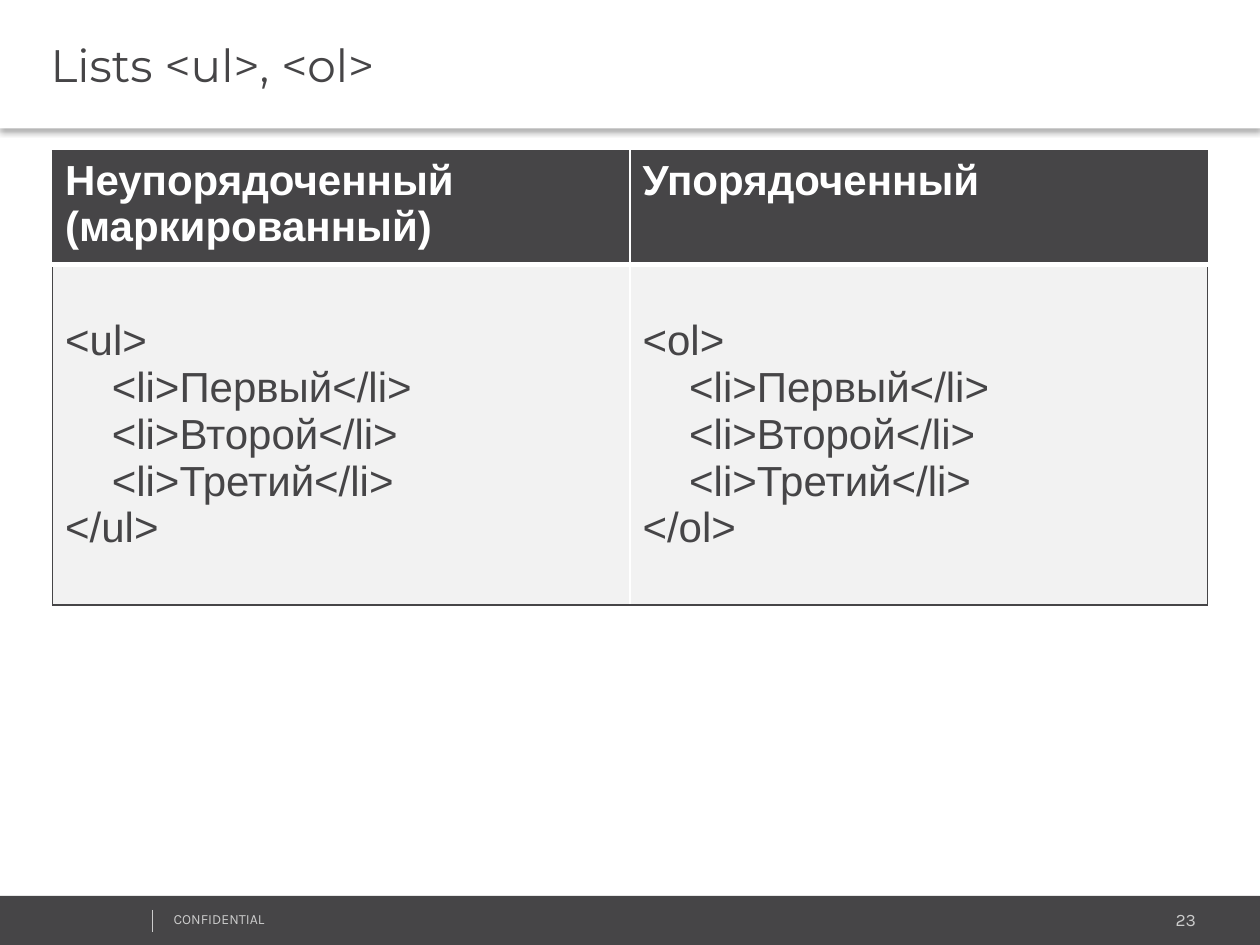
from lxml import etree
from pptx import Presentation
from pptx.dml.color import RGBColor
from pptx.enum.shapes import MSO_CONNECTOR, MSO_SHAPE
from pptx.enum.text import MSO_ANCHOR, MSO_AUTO_SIZE, PP_ALIGN
from pptx.oxml.ns import qn
from pptx.util import Cm, Pt

LEFT, RIGHT = PP_ALIGN.LEFT, PP_ALIGN.RIGHT
TOP, MIDDLE = MSO_ANCHOR.TOP, MSO_ANCHOR.MIDDLE
DARK, WHITE, PALE, GREY = "464547", "FFFFFF", "F2F2F2", "CCCCCC"

TITLE = "Lists <ul>, <ol>"
ITEMS = ["Первый", "Второй", "Третий"]
LISTS = [("Неупорядоченный (маркированный)", "ul"), ("Упорядоченный", "ol")]
# text, left, top, width, height, size, alignment
NOTES = [
    ("23", 20.22, 18.21, 4.14, 0.69, 10, RIGHT),
    ("CONFIDENTIAL", 3.25, 18.24, 6.43, 0.61, 8, LEFT),
]
WIDE, HIGH = 25.4, 19.05
HEAD_H, FOOT_Y = 2.59, 18.06
COL_W, ROW_H = 11.64, (2.15, 6.87)


def color(code):
    """Turn a hex string into a colour."""
    return RGBColor.from_string(code)


def paint(part, code):
    """Give a shape or cell a solid fill."""
    part.fill.solid()
    part.fill.fore_color.rgb = color(code)


def style(para, face, size, code, bold=False, align=LEFT):
    """Format a whole paragraph."""
    para.alignment = align
    font = para.font
    font.name, font.size, font.bold = face, Pt(size), bold
    font.color.rgb = color(code)


def add_shade(shape):
    """Add a soft shadow below a shape."""
    shape.shadow.inherit = False
    effects = shape._element.spPr.find(qn("a:effectLst"))
    shade = etree.SubElement(effects, qn("a:outerShdw"), blurRad=str(Pt(3.1)),
                             dist=str(Pt(2)), dir="5400000", rotWithShape="0")
    tint = etree.SubElement(shade, qn("a:srgbClr"), val="000000")
    etree.SubElement(tint, qn("a:alpha"), val="30000")


def add_edges(cell, edges):
    """Draw cell borders given as (side, colour, points), in L R T B order."""
    props = cell._tc.get_or_add_tcPr()
    for spot, (side, code, width) in enumerate(edges):
        line = etree.Element(qn("a:ln" + side), w=str(Pt(width)))
        fill = etree.SubElement(line, qn("a:solidFill"))
        etree.SubElement(fill, qn("a:srgbClr"), val=code)
        props.insert(spot, line)


def fill_cell(cell, lines, row, col):
    """Write (text, indent) lines in a cell and set its look."""
    head = row == 0
    paint(cell, DARK if head else PALE)
    cell.vertical_anchor = TOP if head else MIDDLE
    frame = cell.text_frame
    frame.text = "\n".join(text for text, _ in lines)
    for para, (_, indent) in zip(frame.paragraphs, lines):
        style(para, "Arial", 24, WHITE if head else DARK, head)
        para._p.get_or_add_pPr().set("marL", str(Cm(indent)))
    add_edges(cell, [
        ("L", WHITE if col else DARK, 1),
        ("R", DARK if col else WHITE, 1),
        ("T", DARK if head else WHITE, 1 if head else 3),
        ("B", WHITE if head else DARK, 3 if head else 1),
    ])


def add_foot(slide):
    """Draw the footer bar, its rule and its texts."""
    bar = slide.shapes.add_shape(MSO_SHAPE.RECTANGLE, 0, Cm(FOOT_Y),
                                 Cm(WIDE), Cm(HIGH - FOOT_Y))
    bar.shadow.inherit = False
    paint(bar, DARK)
    bar.line.fill.background()
    for text, x, y, w, h, size, align in NOTES:
        box = slide.shapes.add_textbox(Cm(x), Cm(y), Cm(w), Cm(h))
        box.text_frame.word_wrap = True
        box.text_frame.text = text
        style(box.text_frame.paragraphs[0], "Karla", size, GREY, align=align)
    rule = slide.shapes.add_connector(MSO_CONNECTOR.STRAIGHT, Cm(3.07),
                                      Cm(18.34), Cm(3.07), Cm(18.79))
    rule.line.color.rgb = color(GREY)
    rule.line.width = Pt(0.75)
    etree.SubElement(rule._element.spPr, qn("a:effectLst"))


def add_title(slide):
    """Place the title band across the top."""
    title = slide.shapes.title
    title.left, title.top = 0, 0
    title.width, title.height = Cm(WIDE), Cm(HEAD_H)
    paint(title, WHITE)
    add_shade(title)
    frame = title.text_frame
    frame.text = TITLE
    frame.auto_size = MSO_AUTO_SIZE.NONE
    frame.vertical_anchor = MIDDLE
    frame.margin_left = Cm(1.02)
    style(frame.paragraphs[0], "Montserrat", 26, DARK)


def add_lists(slide):
    """Build the table with one column for each kind of list."""
    table = slide.shapes.add_table(2, len(LISTS), Cm(1.06), Cm(3.04),
                                   Cm(COL_W * len(LISTS)), Cm(sum(ROW_H))).table
    for row, height in zip(table.rows, ROW_H):
        row.height = Cm(height)
    for col, (name, tag) in enumerate(LISTS):
        table.columns[col].width = Cm(COL_W)
        items = [(f"<li>{item}</li>", 0.94) for item in ITEMS]
        code = [(f"<{tag}>", 0), *items, (f"</{tag}>", 0)]
        for row, lines in enumerate([[(name, 0)], code]):
            fill_cell(table.cell(row, col), lines, row, col)


deck = Presentation()
deck.slide_width, deck.slide_height = Cm(WIDE), Cm(HIGH)
page = deck.slides.add_slide(deck.slide_layouts[5])
add_foot(page)
add_title(page)
add_lists(page)
deck.save("out.pptx")
